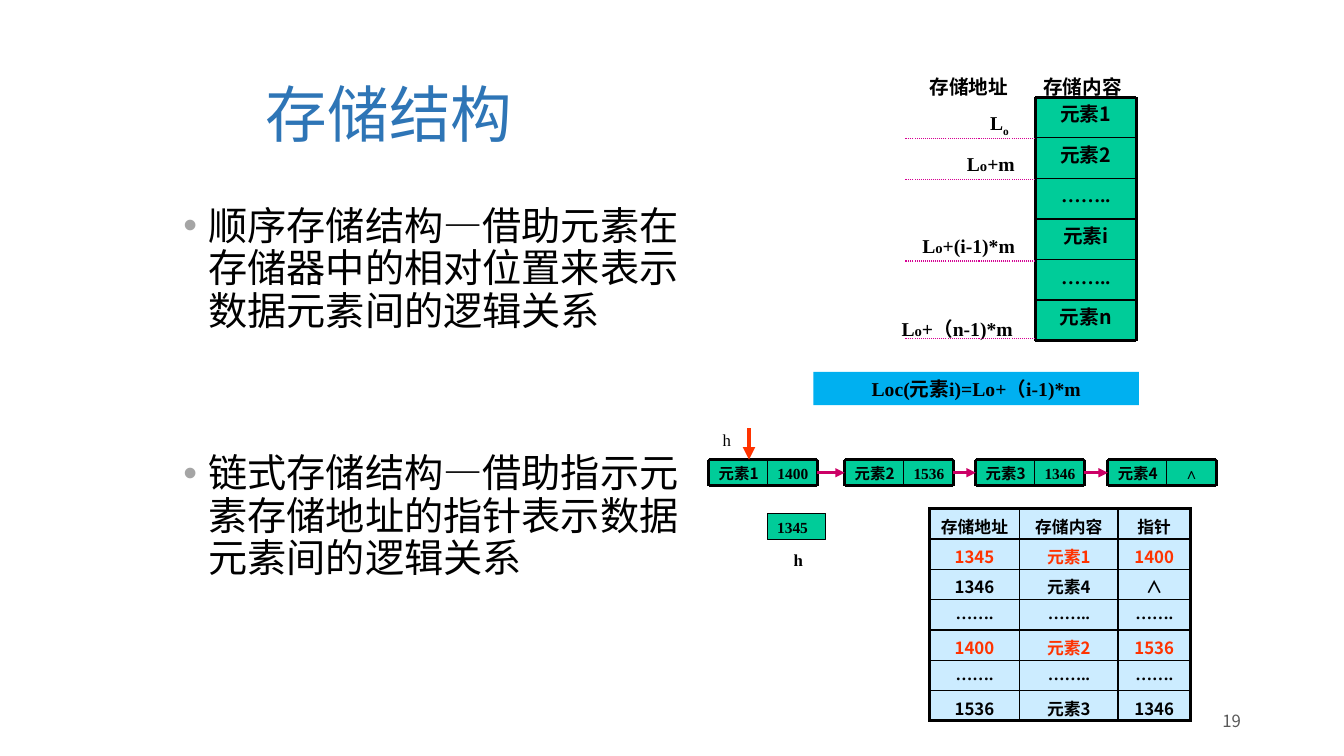
import lxml.etree
import pptx
import pptx.dml.color
import pptx.enum.dml
import pptx.enum.shapes
import pptx.enum.text
import pptx.oxml.ns
import pptx.util

RGBColor = pptx.dml.color.RGBColor
BLACK = RGBColor(0x00, 0x00, 0x00)
TITLE_BLUE = RGBColor(0x2E, 0x75, 0xB6)
BULLET_GRAY = RGBColor(0xA5, 0xA5, 0xA5)
NUMBER_GRAY = RGBColor(0x59, 0x59, 0x59)
CELL_GREEN = RGBColor(0x00, 0xCC, 0x99)
FORMULA_BLUE = RGBColor(0x00, 0xB0, 0xF0)
TABLE_BLUE = RGBColor(0xCC, 0xEC, 0xFF)
ADDRESS_PINK = RGBColor(0xD6, 0x00, 0x93)
POINTER_PINK = RGBColor(0xCC, 0x00, 0x66)
HEAD_RED = RGBColor(0xFF, 0x33, 0x00)

SANS = "Noto Sans CJK SC"
SERIF = "Times New Roman"
LEFT = pptx.enum.text.PP_ALIGN.LEFT
CENTER = pptx.enum.text.PP_ALIGN.CENTER
RIGHT = pptx.enum.text.PP_ALIGN.RIGHT
TOP = pptx.enum.text.MSO_ANCHOR.TOP
MIDDLE = pptx.enum.text.MSO_ANCHOR.MIDDLE
DOTTED = pptx.enum.dml.MSO_LINE.ROUND_DOT
THICK, THIN, HAIR = 2.25, 1, 0.75


def add_xml(parent, tag, **attributes):
    return lxml.etree.SubElement(parent, pptx.oxml.ns.qn(tag), attributes)


class StorageSlide:
    """Draws on one slide, with lengths in hundredths of its width and height."""

    def __init__(self, deck):
        self.slide = deck.slides.add_slide(deck.slide_layouts[6])
        self.shapes = self.slide.shapes
        self.column = deck.slide_width / 100
        self.row = deck.slide_height / 100

    def place(self, x, y, *size):
        lengths = [x * self.column, y * self.row]
        if size:
            lengths += [size[0] * self.column, size[1] * self.row]
        return [pptx.util.Emu(round(length)) for length in lengths]

    def style(self, paragraph, size, font=SANS, color=BLACK, bold=True, align=CENTER):
        paragraph.alignment = align
        paragraph.font.name = font
        paragraph.font.bold = bold
        paragraph.font.color.rgb = color
        if size:
            paragraph.font.size = pptx.util.Pt(size)

    def fill_text(self, shape, text, size, wrap=True, anchor=TOP, **style):
        frame = shape.text_frame
        frame.word_wrap = wrap
        frame.vertical_anchor = anchor
        frame.text = text
        self.style(frame.paragraphs[0], size, **style)
        return frame

    def text(self, at, text, size, **style):
        return self.fill_text(self.shapes.add_textbox(*self.place(*at)), text, size, **style)

    def address(self, at, base, index, offset="", index_size=10.5, subscript=False):
        paragraph = self.text(at, "", None, font=SERIF).paragraphs[0]
        for part, size in ((base, 14), (index, index_size), (offset, 14)):
            if part:
                run = paragraph.add_run()
                run.text = part
                run.font.size = pptx.util.Pt(size)
                if subscript and part == index:
                    run.font._element.set("baseline", "-25000")

    def bullets(self, at, points, size, gap):
        frame = self.text(at, points[0], size)
        for point in points[1:]:
            frame.add_paragraph().text = point
        for number, paragraph in enumerate(frame.paragraphs):
            paragraph.line_spacing = 0.9
            paragraph.space_before = pptx.util.Pt(gap if number else 0)
            properties = paragraph._p.get_or_add_pPr()
            for old in properties.findall(pptx.oxml.ns.qn("a:defRPr")):
                properties.remove(old)
            indent = pptx.util.Inches(0.25)
            properties.set("marL", str(indent))
            properties.set("indent", str(-indent))
            add_xml(add_xml(properties, "a:buClr"), "a:srgbClr", val=str(BULLET_GRAY))
            add_xml(properties, "a:buFont", typeface="Arial")
            add_xml(properties, "a:buChar", char="•")
            self.style(paragraph, size, bold=False, align=LEFT)

    def box(self, at, text, size, fill=CELL_GREEN, outline=None, **style):
        shape = self.shapes.add_shape(pptx.enum.shapes.MSO_SHAPE.RECTANGLE, *self.place(*at))
        shape.shadow.inherit = False
        shape.fill.solid()
        shape.fill.fore_color.rgb = fill
        if outline:
            shape.line.color.rgb = BLACK
            shape.line.width = pptx.util.Pt(outline)
        else:
            shape.line.fill.background()
        self.fill_text(shape, text, size, **style)
        return shape

    def line(self, start, end, width, color=BLACK, dash=None, arrow=False):
        connector = self.shapes.add_connector(
            pptx.enum.shapes.MSO_CONNECTOR.STRAIGHT, *self.place(*start), *self.place(*end))
        connector.line.color.rgb = color
        connector.line.width = pptx.util.Pt(width)
        if dash:
            connector.line.dash_style = dash
        if arrow:
            add_xml(connector.line._get_or_add_ln(), "a:tailEnd", type="triangle")
        add_xml(connector._element.spPr, "a:effectLst")
        return connector

    def frame(self, x, y, width, height):
        right, bottom = x + width, y + height
        corners = [(x, y), (right, y), (right, bottom), (x, bottom)]
        for start, end in zip(corners, corners[1:] + corners[:1]):
            self.line(start, end, THICK)

    def table(self, at, rows, shares, size, red_rows):
        table = self.shapes.add_table(len(rows), len(shares), *self.place(*at)).table
        table.first_row = table.horz_banding = False
        for column, share in zip(table.columns, shares):
            column.width = round(share * self.column)
        last_row, last_column = len(rows) - 1, len(shares) - 1
        for r, row in enumerate(rows):
            for c, text in enumerate(row):
                cell = table.cell(r, c)
                cell.text = text
                self.style(cell.text_frame.paragraphs[0], size,
                           font=SERIF if "…" in text else SANS,
                           color=HEAD_RED if r in red_rows else BLACK)
                outer = {"L": c == 0, "R": c == last_column, "T": r == 0, "B": r == last_row}
                for side, is_outer in outer.items():
                    width = pptx.util.Pt(THICK if is_outer else THIN)
                    border = add_xml(cell._tc.get_or_add_tcPr(), f"a:ln{side}", w=str(width))
                    add_xml(add_xml(border, "a:solidFill"), "a:srgbClr", val=str(BLACK))
                cell.fill.solid()
                cell.fill.fore_color.rgb = TABLE_BLUE


def draw_sequential(page):
    x, y, width, height = 77.03, 12.85, 7.5, 5.37
    elements = ["元素1", "元素2", "……..", "元素i", "……..", "元素n"]
    for i, element in enumerate(elements):
        page.box((x, y + i * height, width, height), element, 14,
                 font=SERIF if "…" in element else SANS)
    for i in range(1, len(elements)):
        page.line((x, y + i * height), (x + width, y + i * height), THIN)
    page.frame(x, y, width, height * len(elements))

    page.address((72.15, 14, 4.43, 4.4), "L", "o", index_size=14, subscript=True)
    page.address((70.65, 19.47, 6.15, 4.27), "L", "o", "+m")
    page.address((66.45, 30.27, 11.25, 4.27), "L", "o", "+(i-1)*m")
    page.address((65.7, 41.2, 11.03, 4.27), "L", "o", "+（n-1)*m")
    page.text((67.58, 9.2, 9, 4.4), "存储地址", 14, font=SERIF)
    page.text((76.35, 9.2, 8.4, 4.4), "存储内容", 14, font=SERIF)
    for level in (18.27, 23.73, 34.53, 44.8):
        page.line((x, level), (67.35, level), HAIR, ADDRESS_PINK, DOTTED)
    page.box((60.53, 49.2, 24.22, 4.4), "Loc(元素i)=Lo+（i-1)*m", 14, FORMULA_BLUE, font=SERIF)


def draw_linked(page):
    y, name_width, link_width, height = 60.8, 4.38, 3.7, 3.47
    nodes = [(52.73, "元素1", "1400"), (62.85, "元素2", "1536"),
             (72.6, "元素3", "1346"), (82.43, "元素4", "∧")]
    cell = {"outline": HAIR, "wrap": False, "align": LEFT}
    previous = None
    for x, name, link in nodes:
        divider = x + name_width
        link_cell = page.box((divider, y, link_width, height), link, 11, font=SERIF,
                             **{**cell, "align": CENTER if link == "∧" else LEFT})
        name_cell = page.box((x, y, name_width, height), name, 11, **cell)
        page.frame(x, y, name_width + link_width, height)
        page.line((divider, y), (divider, y + height), THIN)
        if previous:
            pointer = page.line((x, y), (x, y), THICK, POINTER_PINK, arrow=True)
            pointer.begin_connect(previous, 3)
            pointer.end_connect(name_cell, 1)
        previous = link_cell

    page.box((57.08, 67.87, name_width, height), "1345", 11, font=SERIF, **cell)
    page.text((53.03, 56.13, 1.65, 4), "h", 12, font=SERIF, bold=False, wrap=False, align=LEFT)
    page.line((55.73, 56.67), (55.73, y), 3, HEAD_RED, arrow=True)
    page.text((57.9, 72, 3, 4), "h", 12, font=SERIF, align=CENTER)
    memory = [("存储地址", "存储内容", "指针"), ("1345", "元素1", "1400"),
              ("1346", "元素4", "∧"), ("…….", "……..", "……."),
              ("1400", "元素2", "1536"), ("…….", "……..", "……."),
              ("1536", "元素3", "1346")]
    page.table((69.15, 67.3, 19.43, 28), memory, (6.72, 7.31, 5.4), 12, red_rows=(1, 4))


def main():
    deck = pptx.Presentation()
    deck.slide_width = pptx.util.Inches(13.33)
    deck.slide_height = pptx.util.Inches(7.5)
    page = StorageSlide(deck)
    page.text((19.05, 5.33, 74.1, 19.33), "存储结构", 44, font="Arial", color=TITLE_BLUE,
              bold=False, align=LEFT, anchor=MIDDLE)
    page.bullets((12.9, 26.67, 39, 63.47),
                 ["顺序存储结构—借助元素在存储器中的相对位置来表示数据元素间的逻辑关系",
                  "链式存储结构—借助指示元素存储地址的指针表示数据元素间的逻辑关系"], 28, 86)
    draw_sequential(page)
    draw_linked(page)
    page.text((66.23, 92.67, 26.85, 5.33), "19", 12, color=NUMBER_GRAY, bold=False,
              align=RIGHT, anchor=MIDDLE)
    deck.save("out.pptx")


if __name__ == "__main__":
    main()
